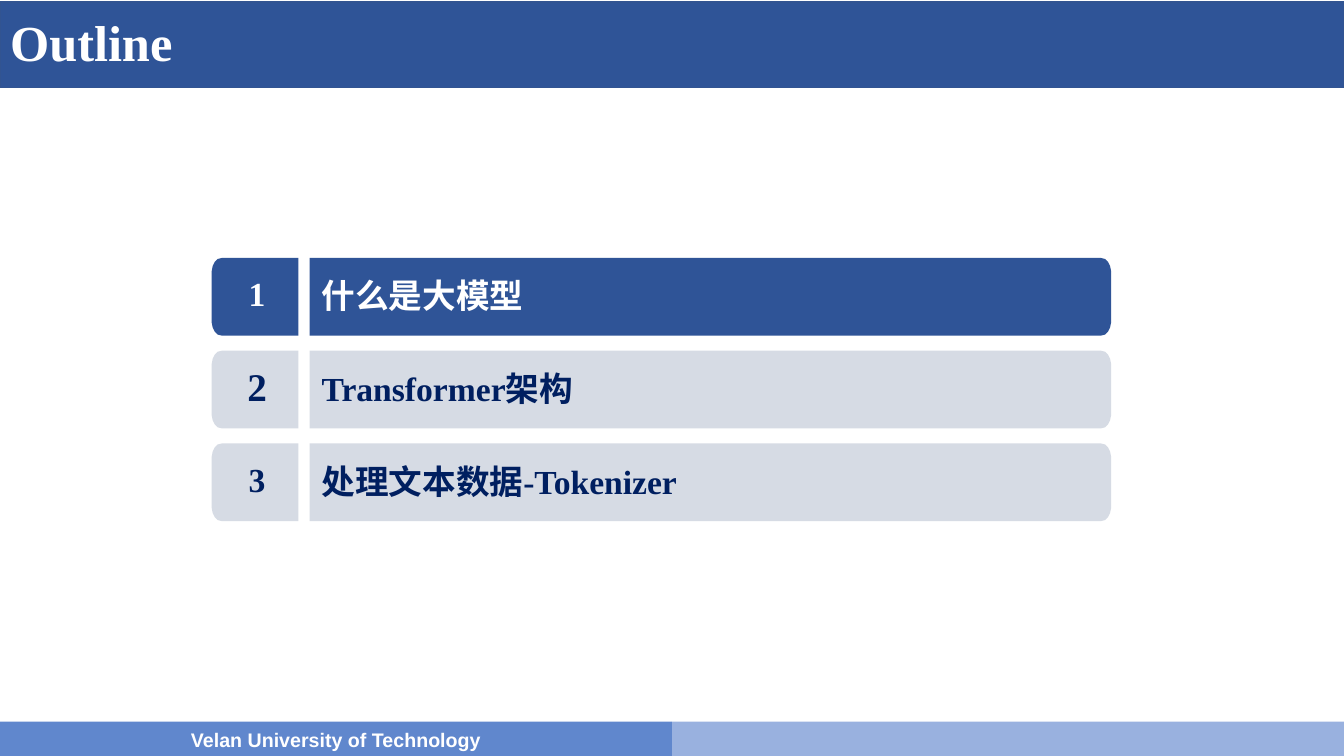
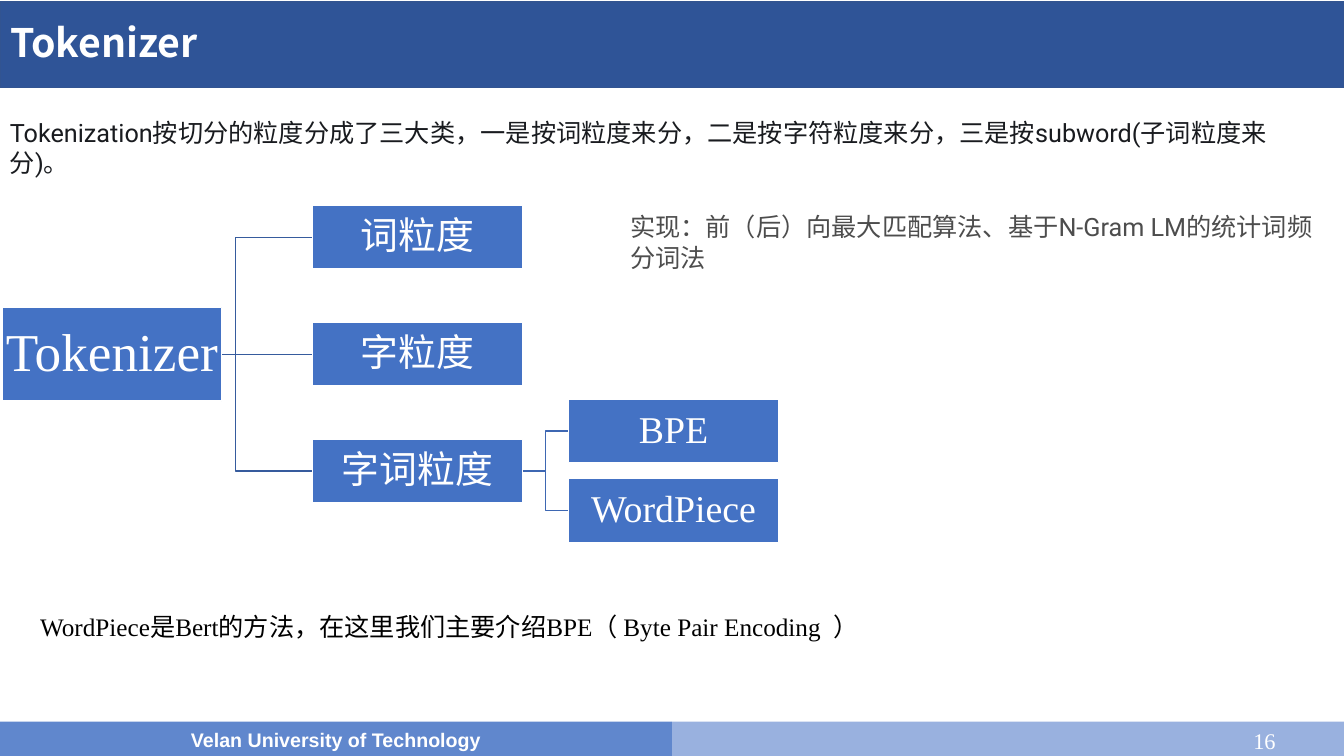
from lxml.etree import SubElement
from pptx import Presentation
from pptx.dml.color import RGBColor
from pptx.enum.shapes import MSO_CONNECTOR as Link, MSO_SHAPE as Shape
from pptx.enum.text import MSO_ANCHOR as Anchor, PP_ALIGN as Align
from pptx.oxml.ns import qn
from pptx.util import Inches, Pt

COLORS = {
    "band": "2F5497", "band_edge": "325491", "footer": "6087CD", "footer_light": "99B1DF",
    "idle": "D6DBE4", "navy": "001F60", "node": "4472C4", "trunk": "365B9D", "twig": "3E67B2",
    "white": "FFFFFF", "ink": "191B1F", "gray": "4D4D4D", "black": "000000",
}
SERIF, SANS, CJK, ROBOTO = "Times New Roman", "Arial", "Noto Sans CJK SC", "Roboto"
WIDTH, HEIGHT = 13.33, 7.5
HALF = WIDTH / 2
HEADER = (0, 0.02, WIDTH, 0.85)
FOOTER_TOP, FOOTER_HEIGHT = 7.16, 0.35

SCHOOL = "Velan University of Technology"
CHAPTERS = [
    ("1", "什么是大模型", 24, "band", "white"),
    ("2", "Transformer架构", 28, "idle", "navy"),
    ("3", "处理文本数据-Tokenizer", 24, "idle", "navy"),
]
CHAPTER_TOP, CHAPTER_PITCH, CHAPTER_HEIGHT = 2.56, 0.92, 0.77
TAB_LEFT, TAB_RIGHT, BAR_LEFT, BAR_RIGHT = 2.1, 2.96, 3.07, 11.02
CORNER = [(0, 0.13), (0.01, 0.08), (0.03, 0.04), (0.06, 0.01), (0.1, 0)]

ROOT = "Tokenizer"
GRAINS = ["词粒度", "字粒度", "字词粒度"]
SUBWORD_METHODS = ["BPE", "WordPiece"]
NODE_WIDTH, NODE_HEIGHT = 2.08, 0.63
PAGE_NUMBER = "16"
PASSAGES = [
    ("Tokenization按切分的粒度分成了三大类，一是按词粒度来分，二是按字符粒度来分，三是按subword(子词粒度来分)。",
     (0, 1.11, 13.03, 0.71), ROBOTO, "ink"),
    ("实现：前（后）向最大匹配算法、基于N-Gram LM的统计词频分词法",
     (6.15, 2.05, 7.19, 0.71), ROBOTO, "gray"),
    ("WordPiece是Bert的方法，在这里我们主要介绍BPE（ Byte Pair Encoding  ）",
     (0.3, 6.02, 12.73, 0.4), SERIF, "black"),
]


def rgb(name):
    return RGBColor.from_string(COLORS[name])


def inches(values):
    return [Inches(value) for value in values]


def write(shape, text, size, font, color, bold=False, align=Align.LEFT,
          anchor=Anchor.MIDDLE, spacing=None, wrap=True, margins=None):
    frame = shape.text_frame
    frame.text = text
    frame.word_wrap = wrap
    frame.vertical_anchor = anchor
    if margins:
        (frame.margin_left, frame.margin_top,
         frame.margin_right, frame.margin_bottom) = inches(margins)
    paragraph = frame.paragraphs[0]
    paragraph.alignment = align
    paragraph.line_spacing = spacing
    for run in paragraph.runs:
        run.font.size = Pt(size)
        run.font.bold = bold
        run.font.color.rgb = rgb(color)
        run.font.name = font
        SubElement(run._r.get_or_add_rPr(), qn("a:ea"), typeface=CJK)


def paint(shape, fill, edge=None):
    shape.shadow.inherit = False
    shape.fill.solid()
    shape.fill.fore_color.rgb = rgb(fill)
    if edge:
        shape.line.color.rgb = rgb(edge)
        shape.line.width = Pt(1)
    else:
        shape.line.fill.background()
    return shape


def rectangle(slide, box, fill, edge=None):
    return paint(slide.shapes.add_shape(Shape.RECTANGLE, *inches(box)), fill, edge)


def label(slide, box, text, *style, **options):
    write(slide.shapes.add_textbox(*inches(box)), text, *style, **options)


def dress_layout(layout, slide):
    bands = [
        rectangle(slide, HEADER, "band", "band_edge"),
        rectangle(slide, (HALF, FOOTER_TOP, HALF, FOOTER_HEIGHT), "footer_light"),
        rectangle(slide, (0, FOOTER_TOP, HALF, FOOTER_HEIGHT), "footer"),
    ]
    write(bands[-1], SCHOOL, 14, SANS, "white", True, Align.CENTER)
    for order, band in enumerate(bands):
        band.element.nvSpPr.cNvPr.set("id", str(90 + order))
        layout.shapes.element.insert(2 + order, band.element)
    for holder in layout.placeholders:
        if holder.placeholder_format.idx == 0:
            holder.left, holder.top, holder.width, holder.height = inches((0, 0.02, 12.91, 0.85))


def set_title(slide, text, size, font):
    write(slide.shapes.title, text, size, font, "white", True, spacing=0.9)


def panel(slide, square_x, round_x, top, fill):
    inward = 1 if round_x < square_x else -1
    bottom = top + CHAPTER_HEIGHT
    upper = [(round_x + inward * dx, top + dy) for dx, dy in CORNER]
    lower = [(round_x + inward * dx, bottom - dy) for dx, dy in reversed(CORNER)]
    points = [inches(point) for point in upper + [(square_x, top), (square_x, bottom)] + lower]
    outline = slide.shapes.build_freeform(*points[0])
    outline.add_line_segments(points[1:], close=True)
    paint(outline.convert_to_shape(), fill)


def build_outline(slide):
    set_title(slide, "Outline", 36, SERIF)
    margins = (0, 0.02, 0, 0)
    for row, (number, chapter, size, fill, color) in enumerate(CHAPTERS):
        top = CHAPTER_TOP + row * CHAPTER_PITCH
        panel(slide, TAB_RIGHT, TAB_LEFT, top, fill)
        panel(slide, BAR_LEFT, BAR_RIGHT, top, fill)
        label(slide, (2.45, top + 0.13, 0.2, 0.42), number, size, SERIF, color, True,
              align=Align.CENTER, wrap=False, margins=margins)
        label(slide, (3.19, top + 0.15, 7.83, 0.42), chapter, 24, SERIF, color, True,
              margins=margins)


def node(slide, box, text, size):
    shape = rectangle(slide, box, "node", "white")
    write(shape, text, size, SERIF, "white", align=Align.CENTER, spacing=0.9,
          wrap=False, margins=(0.02,) * 4)
    return shape


def column(slide, left, top, pitch, texts):
    return [node(slide, (left, top + row * pitch, NODE_WIDTH, NODE_HEIGHT), text, 27)
            for row, text in enumerate(texts)]


def middle(shape):
    return shape.top + shape.height // 2


def branch(slide, parent, children, start, color):
    for child in children:
        level = abs(middle(child) - middle(parent)) < Inches(0.02)
        connector = slide.shapes.add_connector(
            Link.STRAIGHT if level else Link.ELBOW,
            Inches(start), middle(parent), child.left, middle(child))
        if level:
            connector.end_connect(child, 1)
        connector.line.color.rgb = rgb(color)
        connector.line.width = Pt(1)
        SubElement(connector.element.spPr, qn("a:effectLst"))
        slide.shapes.element.insert(2, connector.element)


def build_tokenizer(slide):
    set_title(slide, "Tokenizer", 28, CJK)
    label(slide, (9.75, FOOTER_TOP, 3, 0.37), PAGE_NUMBER, 16, SERIF, "white", align=Align.RIGHT)
    root = node(slide, (0.02, 3.05, 2.18, 0.93), ROOT, 38)
    grains = column(slide, 3.1, 2.04, 1.16, GRAINS)
    methods = column(slide, 5.64, 3.96, 0.79, SUBWORD_METHODS)
    branch(slide, root, grains, 1.57, "trunk")
    branch(slide, grains[-1], methods, 5.18, "twig")
    for text, box, font, color in PASSAGES:
        label(slide, box, text, 18, font, color, anchor=Anchor.TOP)


def main():
    deck = Presentation()
    deck.slide_width, deck.slide_height = inches((WIDTH, HEIGHT))
    layout = deck.slide_layouts[5]
    outline, tokenizer = (deck.slides.add_slide(layout) for _ in range(2))
    dress_layout(layout, outline)
    build_outline(outline)
    build_tokenizer(tokenizer)
    deck.save("out.pptx")


if __name__ == "__main__":
    main()
